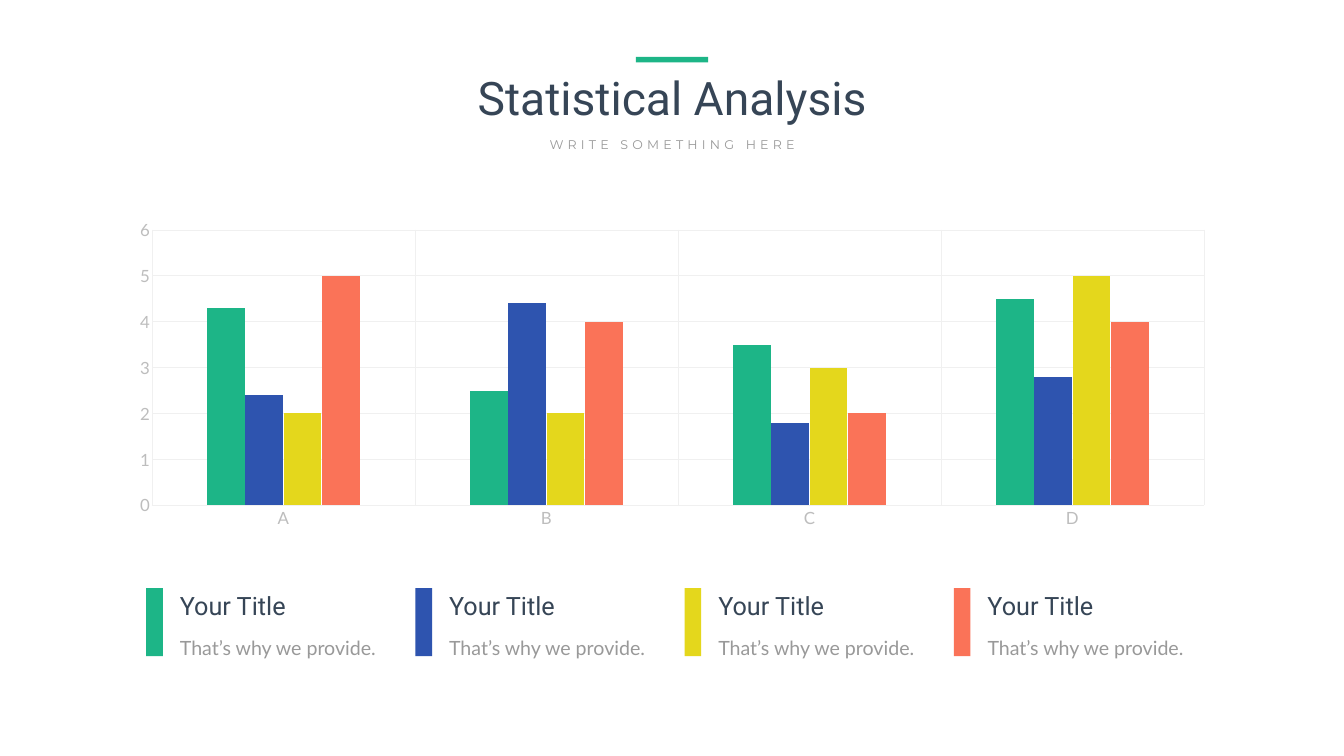
from pptx import Presentation
from pptx.chart import data as chart_data
from pptx.dml.color import RGBColor
from pptx.enum import chart as ch, shapes, text
from pptx.util import Inches, Pt

COLORS = {
    "green": "1DB587", "blue": "2E54AF", "yellow": "E4D71C", "coral": "FA7358",
    "heading": "364556", "body": "999999", "axis": "BDBDBD", "grid": "F0F0F0",
}
SERIES_COLORS = ("green", "blue", "yellow", "coral")
VALUES = ((4.3, 2.5, 3.5, 4.5), (2.4, 4.4, 1.8, 2.8), (2, 2, 3, 5), (5, 4, 2, 4))
STYLES = {
    "title": {"size": Pt(66), "name": "Roboto", "color": "heading"},
    "subtitle": {"size": Pt(18), "name": "Montserrat", "color": "body"},
    "legend": {"size": Pt(36), "name": "Roboto", "color": "heading"},
    "detail": {"size": Pt(28), "name": "Lato", "color": "body"},
    "axis": {"size": Pt(24), "name": "Lato", "color": "axis"},
}


def rgb(name):
    return RGBColor.from_string(COLORS[name])


def style_font(font, style):
    for key, value in STYLES[style].items():
        if key == "color":
            font.color.rgb = rgb(value)
        else:
            setattr(font, key, value)


def write(sp, words, style, align=text.PP_ALIGN.LEFT, line_spacing=None):
    tf = sp.text_frame
    frame_format = {
        "word_wrap": True,
        "auto_size": text.MSO_AUTO_SIZE.SHAPE_TO_FIT_TEXT,
        "vertical_anchor": text.MSO_ANCHOR.TOP,
    }
    for key, value in frame_format.items():
        setattr(tf, key, value)
    p = tf.paragraphs[0]
    p.alignment = align
    p.line_spacing = line_spacing
    r = p.add_run()
    r.text = words
    style_font(r.font, style)
    return r


def add_text(s, box, words, style, **options):
    return write(s.shapes.add_textbox(*map(Inches, box)), words, style, **options)


def add_bar(s, box, color):
    sp = s.shapes.add_shape(shapes.MSO_SHAPE.RECTANGLE, *map(Inches, box))
    sp.shadow.inherit = False
    sp.fill.solid()
    sp.fill.fore_color.rgb = rgb(color)
    sp.line.fill.background()


def add_header(s, left, top, width):
    center = left + width / 2
    # Title
    title = s.shapes.title
    box = (left, top + 0.19, width, 1.21)
    for key, value in zip(("left", "top", "width", "height"), box):
        setattr(title, key, Inches(value))
    write(title, "Statistical Analysis", "title", align=text.PP_ALIGN.CENTER)
    # Subtitle with wide letter spacing
    r = add_text(s, (center - 2.98, top + 1.53, 5.96, 0.4), "WRITE SOMETHING HERE",
                 "subtitle", align=text.PP_ALIGN.CENTER)
    r.font._element.set("spc", "600")
    # Accent bar
    add_bar(s, (center - 0.72, top, 1.43, 0.11), "green")


def add_column_chart(s, box):
    data = chart_data.CategoryChartData()
    data.categories = list("ABCD")
    for number, values in enumerate(VALUES, 1):
        data.add_series(f"Series {number}", values)
    chart = s.shapes.add_chart(
        ch.XL_CHART_TYPE.COLUMN_CLUSTERED, *map(Inches, box), data).chart
    chart.has_legend = False
    chart.has_title = False
    style_font(chart.font, "axis")

    # Columns
    plot = chart.plots[0]
    for key, value in {"gap_width": 293, "overlap": -1, "vary_by_categories": False}.items():
        setattr(plot, key, value)
    for series, color in zip(plot.series, SERIES_COLORS):
        series.format.fill.solid()
        series.format.fill.fore_color.rgb = rgb(color)

    # Axes and grid
    for axis in (chart.category_axis, chart.value_axis):
        axis.has_major_gridlines = True
        axis.major_tick_mark = axis.minor_tick_mark = ch.XL_TICK_MARK.NONE
        style_font(axis.tick_labels.font, "axis")
        for line in (axis.major_gridlines.format.line, axis.format.line):
            line.color.rgb = rgb("grid")
            line.width = Pt(0.75)
    axis = chart.value_axis
    axis.format.line.fill.background()
    for key, value in {"minimum_scale": 0, "maximum_scale": 6, "major_unit": 1}.items():
        setattr(axis, key, value)


def add_legend_item(s, left, top, color):
    add_bar(s, (left, top, 0.33, 1.35), color)
    add_text(s, (left + 0.57, top, 3, 0.71), "Your Title", "legend")
    add_text(s, (left + 0.57, top + 0.76, 4.29, 0.64), "That’s why we provide.",
             "detail", line_spacing=Pt(43))


def add_legend(s, left, top, pitch):
    for i, color in enumerate(SERIES_COLORS):
        add_legend_item(s, left + i * pitch, top, color)


def main():
    prs = Presentation()
    prs.slide_width, prs.slide_height = Inches(26.66), Inches(15)
    s = prs.slides.add_slide(prs.slide_layouts[5])
    add_header(s, 7.74, 1.13, 11.19)
    add_column_chart(s, (2.34, 4.23, 21.98, 6.37))
    add_legend(s, 2.9, 11.67, 5.34)
    prs.save("out.pptx")


if __name__ == "__main__":
    main()
